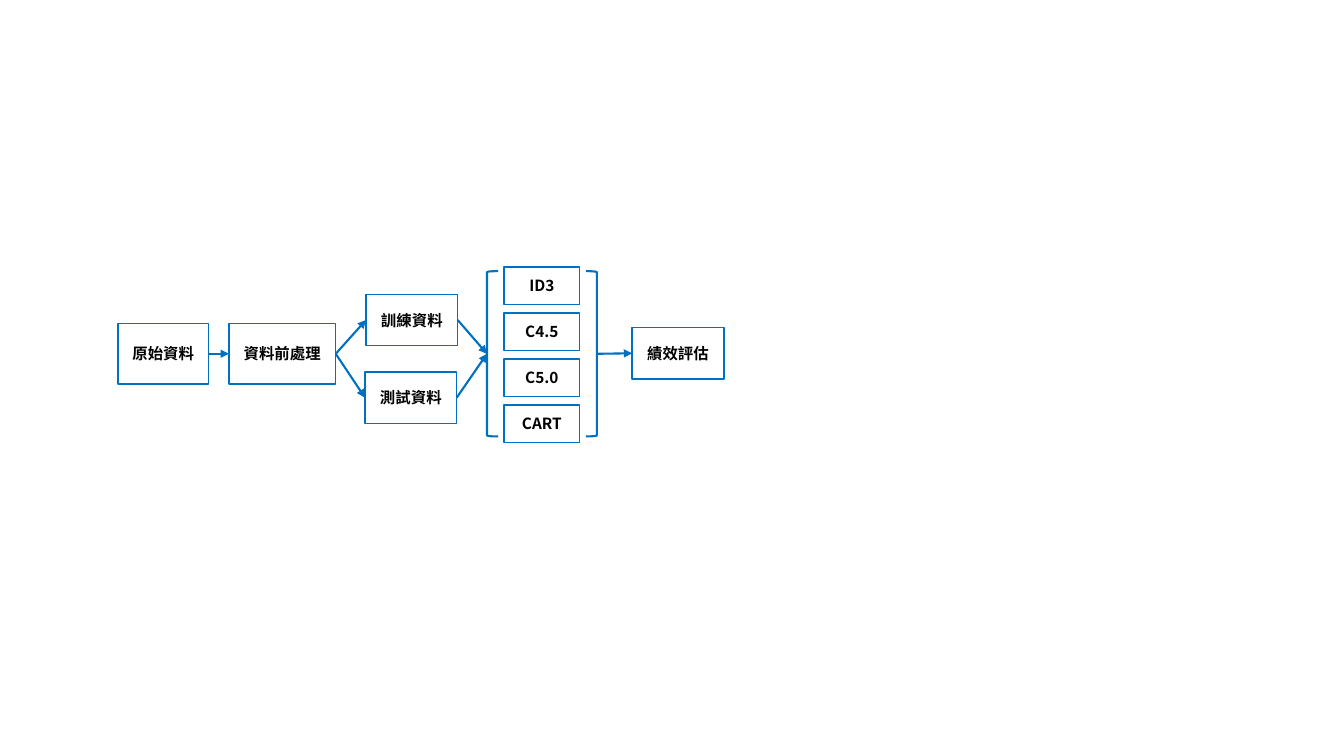
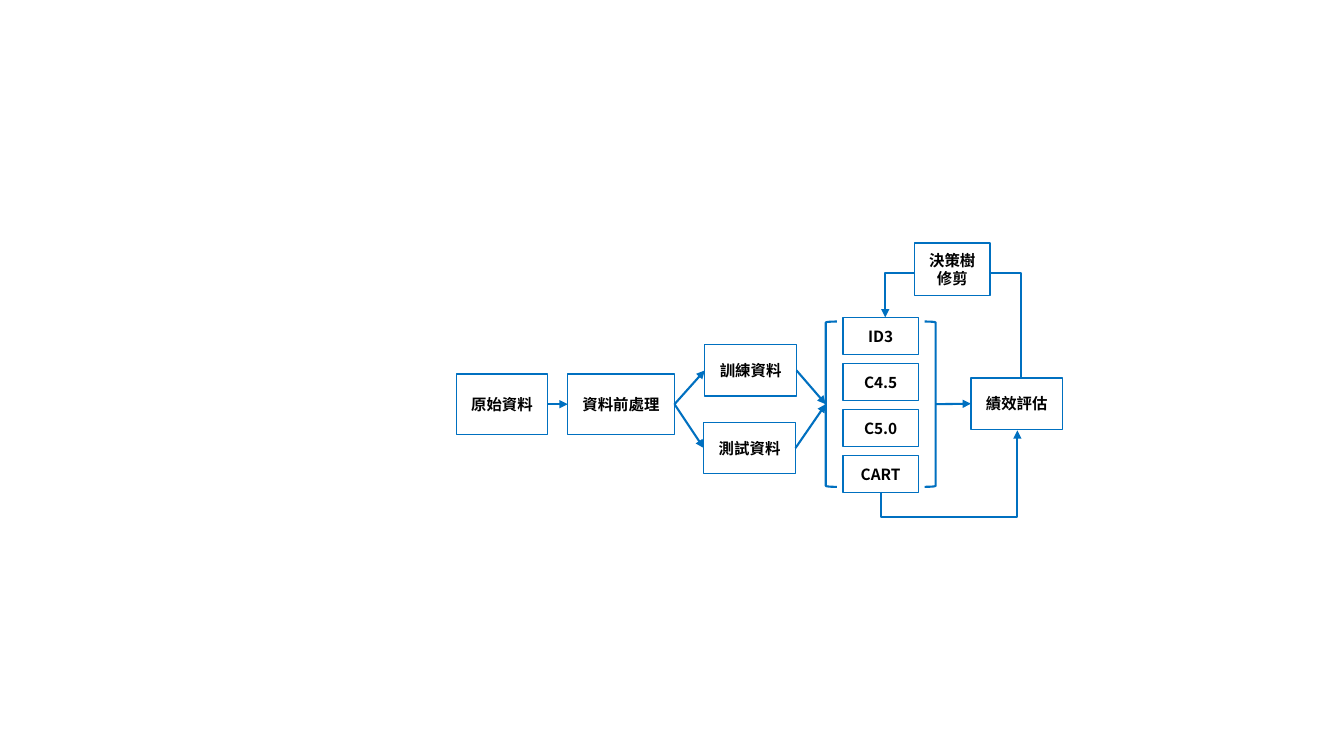
from dataclasses import dataclass

from lxml import etree
from pptx import Presentation
from pptx.dml.color import RGBColor
from pptx.enum import shapes, text
from pptx.oxml.ns import qn
from pptx.util import Inches, Pt


@dataclass(frozen=True)
class Theme:
    font: str = "Noto Sans CJK SC"
    size: float = 11
    blue: RGBColor = RGBColor(0x00, 0x70, 0xC0)
    ink: RGBColor = RGBColor(0x00, 0x00, 0x00)
    paper: RGBColor = RGBColor(0xFF, 0xFF, 0xFF)
    border: float = 1
    arrow: float = 1.5


THEME = Theme()
LEFT, TOP, RIGHT = 0, 1, 3

STEPS = {
    "raw": ("原始資料", 0, -0.3, 0.9, 0.6),
    "prepare": ("資料前處理", 1.1, -0.3, 1.06, 0.6),
    "test": ("測試資料", 2.45, 0.18, 0.91, 0.51),
    "train": ("訓練資料", 2.46, -0.59, 0.91, 0.51),
    "evaluate": ("績效評估", 5.1, -0.26, 0.91, 0.51),
}
ALGORITHMS = ["ID3", "C4.5", "C5.0", "CART"]
ALGORITHM_LEFT, ALGORITHM_TOP, ALGORITHM_PITCH = 3.83, -0.86, 0.456
ALGORITHM_SIZE = (0.75, 0.37)

BRACKETS = {
    "open": (shapes.MSO_SHAPE.LEFT_BRACKET, 3.66),
    "close": (shapes.MSO_SHAPE.RIGHT_BRACKET, 4.64),
}
BRACKET_TOP, BRACKET_SIZE = -0.82, (0.11, 1.64)

ARROWS = [
    ("raw", "prepare"),
    ("prepare", "train"),
    ("prepare", "test"),
    ("test", "open"),
    ("train", "open"),
    ("close", "evaluate"),
]

FLOW_ORIGINS = [(1.17, 3.51), (4.53, 4.01)]

PRUNING = ("決策樹\n修剪", 9.07, 2.41, 0.75, 0.52)
PRUNING_LOOP = {"start": (10.13, 3.75), "end": (8.78, 3.15), "bend": 2.71,
                "rotation": 270, "flips": ("flipV",)}
RESULT_LOOP = {"start": (8.74, 4.88), "end": (10.09, 4.27), "bend": 5.13,
               "rotation": 90, "flips": ("flipH", "flipV")}


def add_outline(slide, preset, left, top, width, height, weight, fill=None):
    shape = slide.shapes.add_shape(
        preset, Inches(left), Inches(top), Inches(width), Inches(height))
    shape.shadow.inherit = False
    if fill is None:
        shape.fill.background()
    else:
        shape.fill.solid()
        shape.fill.fore_color.rgb = fill
    shape.line.color.rgb = THEME.blue
    shape.line.width = Pt(weight)
    return shape


def add_box(slide, label, left, top, width, height, fill=None):
    box = add_outline(slide, shapes.MSO_SHAPE.RECTANGLE,
                      left, top, width, height, THEME.border, fill)
    frame = box.text_frame
    frame.text = label
    frame.vertical_anchor = text.MSO_ANCHOR.MIDDLE
    for para in frame.paragraphs:
        para.alignment = text.PP_ALIGN.CENTER
        for span in para.runs:
            span.font.name = THEME.font
            span.font.size = Pt(THEME.size)
            span.font.bold = True
            span.font.color.rgb = THEME.ink
            east_asian = etree.SubElement(span.font._element, qn("a:ea"))
            east_asian.set("typeface", THEME.font)
    return box


def add_arrow(slide, kind):
    arrow = slide.shapes.add_connector(kind, 0, 0, 0, 0)
    arrow.line.color.rgb = THEME.blue
    arrow.line.width = Pt(THEME.arrow)
    tail = etree.SubElement(arrow.line._get_or_add_ln(), qn("a:tailEnd"))
    tail.set("type", "triangle")
    etree.SubElement(arrow._element.spPr, qn("a:effectLst"))
    return arrow


def add_link(slide, source, target):
    arrow = add_arrow(slide, shapes.MSO_CONNECTOR.STRAIGHT)
    if source.auto_shape_type == shapes.MSO_SHAPE.RIGHT_BRACKET:
        arrow.begin_x = source.left + source.width
        arrow.begin_y = source.top + source.height // 2
    else:
        arrow.begin_connect(source, RIGHT)
    arrow.end_connect(target, 1)


def add_loop(slide, start, end, bend, rotation, flips):
    (start_x, start_y), (end_x, end_y) = start, end
    width, height = abs(end_y - start_y), abs(end_x - start_x)
    arrow = add_arrow(slide, shapes.MSO_CONNECTOR.ELBOW)
    arrow.left = Inches((start_x + end_x - width) / 2)
    arrow.top = Inches((start_y + end_y - height) / 2)
    arrow.width, arrow.height = Inches(width), Inches(height)
    properties = arrow._element.spPr
    frame = properties.find(qn("a:xfrm"))
    frame.set("rot", str(rotation * 60000))
    for flip in flips:
        frame.set(flip, "1")
    geometry = properties.find(qn("a:prstGeom"))
    adjustments = geometry.find(qn("a:avLst"))
    if adjustments is None:
        adjustments = etree.SubElement(geometry, qn("a:avLst"))
    guide = etree.SubElement(adjustments, qn("a:gd"))
    ratio = (bend - start_y) / (end_y - start_y)
    guide.set("name", "adj1")
    guide.set("fmla", f"val {round(ratio * 100000)}")


def add_flow(slide, origin_x, origin_y):
    nodes = {}
    for name, (label, left, top, width, height) in STEPS.items():
        nodes[name] = add_box(slide, label, origin_x + left, origin_y + top, width, height)
    for row, label in enumerate(ALGORITHMS):
        top = origin_y + ALGORITHM_TOP + row * ALGORITHM_PITCH
        add_box(slide, label, origin_x + ALGORITHM_LEFT, top, *ALGORITHM_SIZE)
    for name, (preset, left) in BRACKETS.items():
        nodes[name] = add_outline(slide, preset, origin_x + left, origin_y + BRACKET_TOP,
                                  *BRACKET_SIZE, THEME.arrow)
    for source, target in ARROWS:
        add_link(slide, nodes[source], nodes[target])


def main():
    deck = Presentation()
    deck.slide_width, deck.slide_height = Inches(13.33), Inches(7.5)
    for origin in FLOW_ORIGINS:
        page = deck.slides.add_slide(deck.slide_layouts[6])
        add_flow(page, *origin)
    add_loop(page, **PRUNING_LOOP)
    add_box(page, *PRUNING, fill=THEME.paper)
    add_loop(page, **RESULT_LOOP)
    deck.save("out.pptx")


if __name__ == "__main__":
    main()
